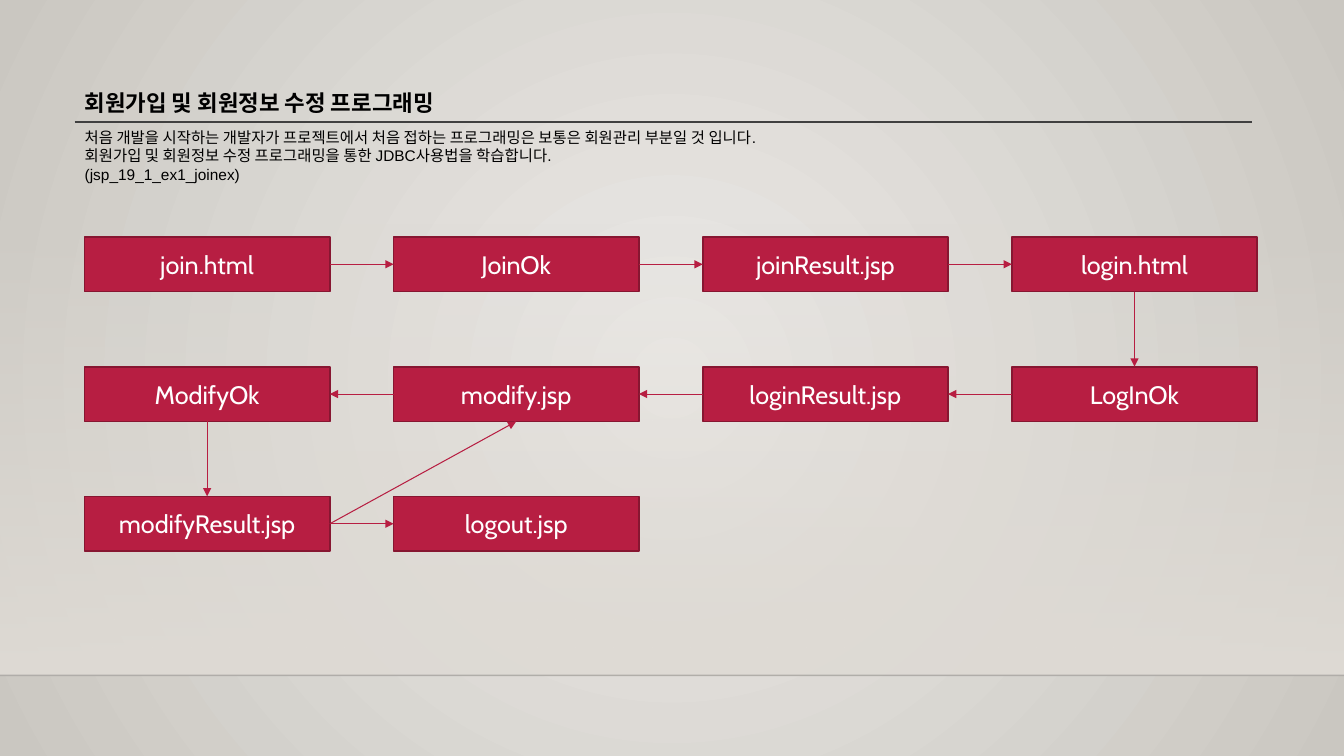
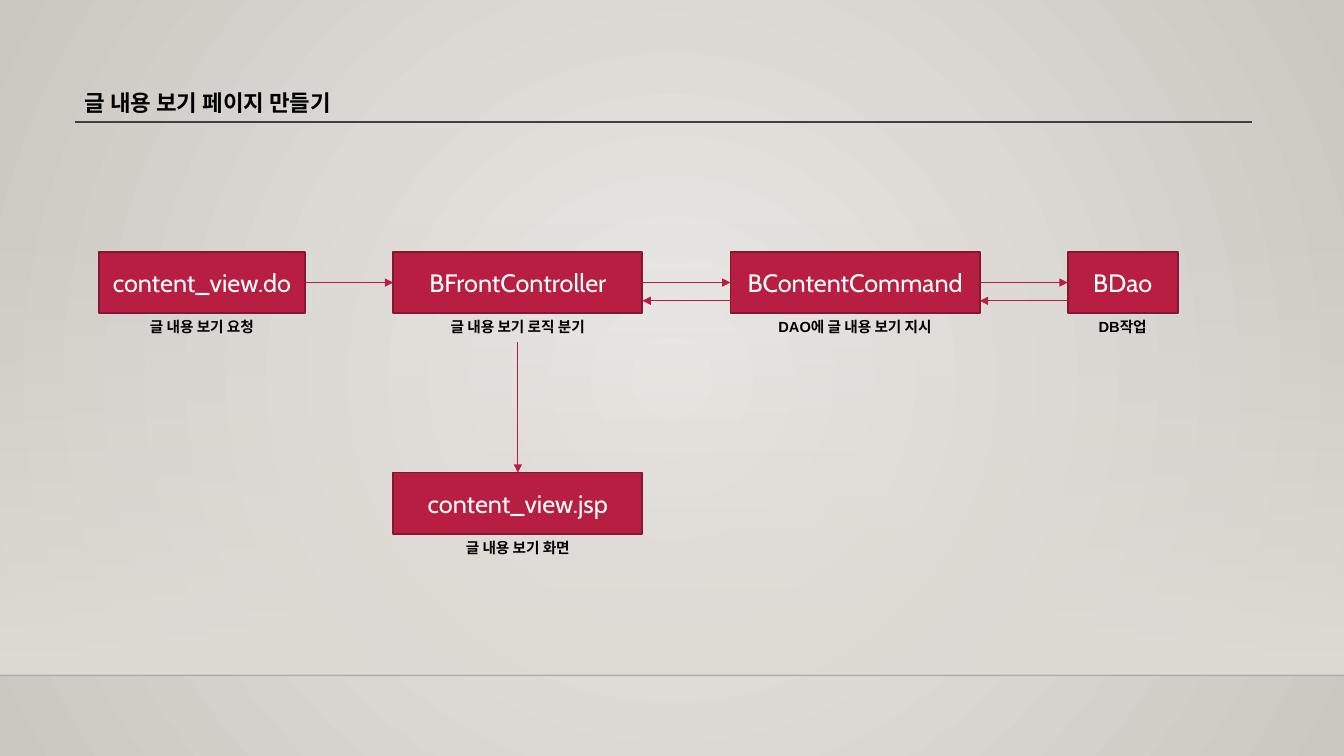
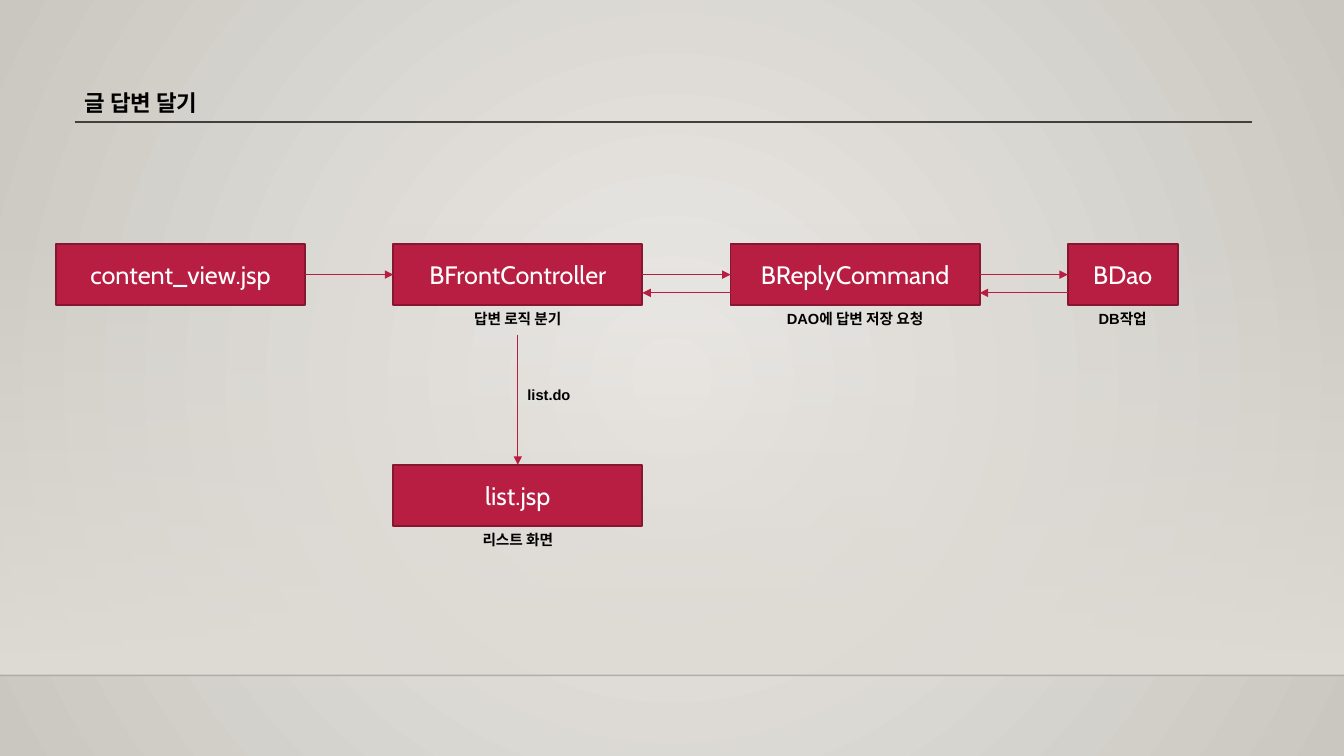
from lxml import etree
from pptx import Presentation
from pptx.dml.color import RGBColor
from pptx.enum import shapes, text
from pptx.oxml.ns import qn
from pptx.util import Cm, Pt

CRIMSON = RGBColor(0xB7, 0x1E, 0x42)
DARK_CRIMSON = RGBColor(0x87, 0x16, 0x31)
WHITE = RGBColor(0xFF, 0xFF, 0xFF)
BLACK = RGBColor(0, 0, 0)
FLOOR_LINE = RGBColor(0, 0, 1)
RULE_GREY = RGBColor(0x40, 0x40, 0x40)
GLOW = RGBColor(0xEC, 0xEA, 0xE7)
EDGE = RGBColor(0xCA, 0xC7, 0xC1)
WALL = RGBColor(0xDF, 0xDB, 0xD5)

WIDTH, HEIGHT = 33.87, 19.05  # all lengths in cm
MARGIN, CONTENT_W, RULE_Y = 1.88, 29.67, 3.07
WALL_TOP, FLOOR_Y = 5.61, 17.02
TOP, LEFT, BOTTOM, RIGHT = range(4)  # connection sites of a rectangle

JOIN_TITLE = "회원가입 및 회원정보 수정 프로그래밍"
JOIN_INTRO = [
    "처음 개발을 시작하는 개발자가 프로젝트에서 처음 접하는 프로그래밍은 보통은 회원관리 부분일 것 입니다.",
    "회원가입 및 회원정보 수정 프로그래밍을 통한 JDBC사용법을 학습합니다.",
    "(jsp_19_1_ex1_joinex)",
]
# Steps in order of the flow: name, column, row
JOIN_STEPS = [
    ("join.html", 0, 0), ("JoinOk", 1, 0), ("joinResult.jsp", 2, 0), ("login.html", 3, 0),
    ("LogInOk", 3, 1), ("loginResult.jsp", 2, 1), ("modify.jsp", 1, 1), ("ModifyOk", 0, 1),
    ("modifyResult.jsp", 0, 2), ("logout.jsp", 1, 2),
]
STEP_LEFT, STEP_TOP, STEP_W, STEP_H = 2.13, 5.97, 6.18, 1.38
STEP_DX, STEP_DY = 7.79, 3.27

WIDE, SHORT, NARROW = 6.28, 5.2, 2.77
# Stages: name, caption, width
BOARD_FLOWS = [
    {
        "title": "글 내용 보기 페이지 만들기",
        "top": 6.35,
        "stages": [
            ("content_view.do", "글 내용 보기 요청", SHORT),
            ("BFrontController", "글 내용 보기 로직 분기", WIDE),
            ("BContentCommand", "DAO에 글 내용 보기 지시", WIDE),
            ("BDao", "DB작업", NARROW),
        ],
        "view": ("content_view.jsp", "글 내용 보기 화면"),
        "forward": None,
    },
    {
        "title": "글 답변 달기",
        "top": 6.15,
        "stages": [
            ("content_view.jsp", None, WIDE),
            ("BFrontController", "답변 로직 분기", WIDE),
            ("BReplyCommand", "DAO에 답변 저장 요청", WIDE),
            ("BDao", "DB작업", NARROW),
        ],
        "view": ("list.jsp", "리스트 화면"),
        "forward": "list.do",
    },
]
CONTROLLER_X, STAGE_H, STAGE_GAP = 9.91, 1.54, 2.22
CAPTION_H, RETURN_DY, VIEW_DY = 0.74, 0.46, 5.56


def place(shape, left, top, width, height):
    shape.left, shape.top, shape.width, shape.height = map(Cm, (left, top, width, height))


def style(paragraph, size, color=BLACK, name="Arial", bold=False, align=text.PP_ALIGN.CENTER):
    paragraph.alignment = align
    font = paragraph.font
    font.size, font.name, font.bold = Pt(size), name, bold
    font.color.rgb = color


def set_alpha(color_element, percent):
    etree.SubElement(color_element, qn("a:alpha")).set("val", str(percent * 1000))


def add_line(slide, x1, y1, x2, y2, color, width):
    line = slide.shapes.add_connector(
        shapes.MSO_CONNECTOR.STRAIGHT, Cm(x1), Cm(y1), Cm(x2), Cm(y2))
    line.line.color.rgb = color
    line.line.width = Pt(width)
    etree.SubElement(line._element.spPr, qn("a:effectLst"))
    return line


def add_arrow(slide, x1=0, y1=0, x2=0, y2=0):
    arrow = add_line(slide, x1, y1, x2, y2, CRIMSON, 0.75)
    outline = arrow._element.spPr.find(qn("a:ln"))
    etree.SubElement(outline, qn("a:tailEnd")).set("type", "triangle")
    return arrow


def link(slide, source, source_site, target, target_site):
    """Draw an arrow glued to two shapes."""
    arrow = add_arrow(slide)
    arrow.begin_connect(source, source_site)
    arrow.end_connect(target, target_site)


def add_box(slide, name, left, top, width, height):
    box = slide.shapes.add_shape(
        shapes.MSO_SHAPE.RECTANGLE, Cm(left), Cm(top), Cm(width), Cm(height))
    box.shadow.inherit = False
    box.fill.solid()
    box.fill.fore_color.rgb = CRIMSON
    box.line.color.rgb = DARK_CRIMSON
    box.line.width = Pt(1.25)
    box.text_frame.text = name
    style(box.text_frame.paragraphs[0], 18, WHITE, "Cabin")
    return box


def add_caption(slide, words, left, top, width):
    caption = slide.shapes.add_textbox(Cm(left), Cm(top), Cm(width), Cm(CAPTION_H))
    caption.text_frame.word_wrap = True
    caption.text_frame.text = words
    style(caption.text_frame.paragraphs[0], 10.5, bold=True)
    return caption


def add_titled_slide(prs, layout, words):
    slide = prs.slides.add_slide(prs.slide_layouts[layout])
    title = slide.shapes.title
    place(title, MARGIN, 2.11, CONTENT_W, 0.94)
    title.text_frame.text = words
    title.text_frame.auto_size = text.MSO_AUTO_SIZE.NONE
    style(title.text_frame.paragraphs[0], 16, bold=True, align=text.PP_ALIGN.LEFT)
    return slide


def decorate_master(prs, slide):
    """Put background, wall, floor line and title rule on the master.

    Masters offer no way to add shapes, so they are made on a slide and moved.
    """
    master = prs.slide_master
    backdrop = master.background.fill
    backdrop.gradient()
    for stop, color in zip(backdrop.gradient_stops, (GLOW, EDGE)):
        stop.color.rgb = color
    gradient = master.element.find(".//" + qn("a:gradFill"))
    gradient.remove(gradient.find(qn("a:lin")))
    circle = etree.SubElement(gradient, qn("a:path"), path="circle")
    etree.SubElement(circle, qn("a:fillToRect"), l="50000", t="50000", r="50000", b="50000")

    wall = slide.shapes.add_shape(
        shapes.MSO_SHAPE.RECTANGLE, 0, Cm(WALL_TOP), Cm(WIDTH), Cm(FLOOR_Y - WALL_TOP))
    wall.shadow.inherit = False
    wall.line.fill.background()
    wall.fill.gradient()
    wall.fill.gradient_angle = 270
    for stop in wall.fill.gradient_stops:
        stop.color.rgb = WALL
    set_alpha(wall._element.find(".//" + qn("a:srgbClr")), 0)

    floor = add_line(slide, 0, FLOOR_Y, WIDTH, FLOOR_Y, FLOOR_LINE, 1)
    set_alpha(floor._element.find(".//" + qn("a:srgbClr")), 20)
    rule = add_line(slide, MARGIN, RULE_Y, MARGIN + CONTENT_W, RULE_Y, RULE_GREY, 1)

    for order, part in enumerate((wall, floor, rule)):
        part._element.find(".//" + qn("p:cNvPr")).set("id", str(100 + order))
        master.shapes._spTree.insert(2 + order, part._element)


def fill_intro(slide):
    intro = slide.placeholders[1]
    place(intro, MARGIN, 3.1, CONTENT_W, 1.68)
    intro.text_frame.text = "\n".join(JOIN_INTRO)
    intro.text_frame.auto_size = text.MSO_AUTO_SIZE.NONE
    for paragraph in intro.text_frame.paragraphs:
        properties = paragraph._p.get_or_add_pPr()
        properties.set("marL", "0")
        properties.set("indent", "0")
        etree.SubElement(properties, qn("a:buNone"))
        paragraph.space_before = Pt(0)
        style(paragraph, 11, align=text.PP_ALIGN.LEFT)


def draw_join_flow(slide):
    boxes = {
        name: add_box(slide, name, STEP_LEFT + column * STEP_DX, STEP_TOP + row * STEP_DY,
                      STEP_W, STEP_H)
        for name, column, row in JOIN_STEPS
    }
    for (source, col1, row1), (target, col2, row2) in zip(JOIN_STEPS, JOIN_STEPS[1:]):
        if row1 != row2:
            sites = BOTTOM, TOP
        else:
            sites = (RIGHT, LEFT) if col1 < col2 else (LEFT, RIGHT)
        link(slide, boxes[source], sites[0], boxes[target], sites[1])
    link(slide, boxes["modifyResult.jsp"], RIGHT, boxes["modify.jsp"], BOTTOM)


def draw_board_flow(slide, flow):
    top = flow["top"]
    left = CONTROLLER_X - STAGE_GAP - flow["stages"][0][2]
    boxes, captions = [], {}
    for name, caption, width in flow["stages"]:
        boxes.append(add_box(slide, name, left, top, width, STAGE_H))
        if caption:
            captions[name] = add_caption(slide, caption, left, top + STAGE_H, width)
        if len(boxes) > 1:
            link(slide, boxes[-2], RIGHT, boxes[-1], LEFT)
        if len(boxes) > 2:
            return_y = top + STAGE_H / 2 + RETURN_DY
            add_arrow(slide, left, return_y, left - STAGE_GAP, return_y)
        left += width + STAGE_GAP

    name, caption = flow["view"]
    view_top = top + VIEW_DY
    view = add_box(slide, name, CONTROLLER_X, view_top, WIDE, STAGE_H)
    add_caption(slide, caption, CONTROLLER_X, view_top + STAGE_H, WIDE)
    link(slide, captions["BFrontController"], BOTTOM, view, TOP)
    if flow["forward"]:
        add_caption(slide, flow["forward"], 12.78, top + 3.45, 2.11)


def main():
    prs = Presentation()
    prs.slide_width, prs.slide_height = Cm(WIDTH), Cm(HEIGHT)

    join = add_titled_slide(prs, 1, JOIN_TITLE)
    decorate_master(prs, join)
    fill_intro(join)
    draw_join_flow(join)
    for flow in BOARD_FLOWS:
        draw_board_flow(add_titled_slide(prs, 5, flow["title"]), flow)

    prs.save("out.pptx")


if __name__ == "__main__":
    main()
